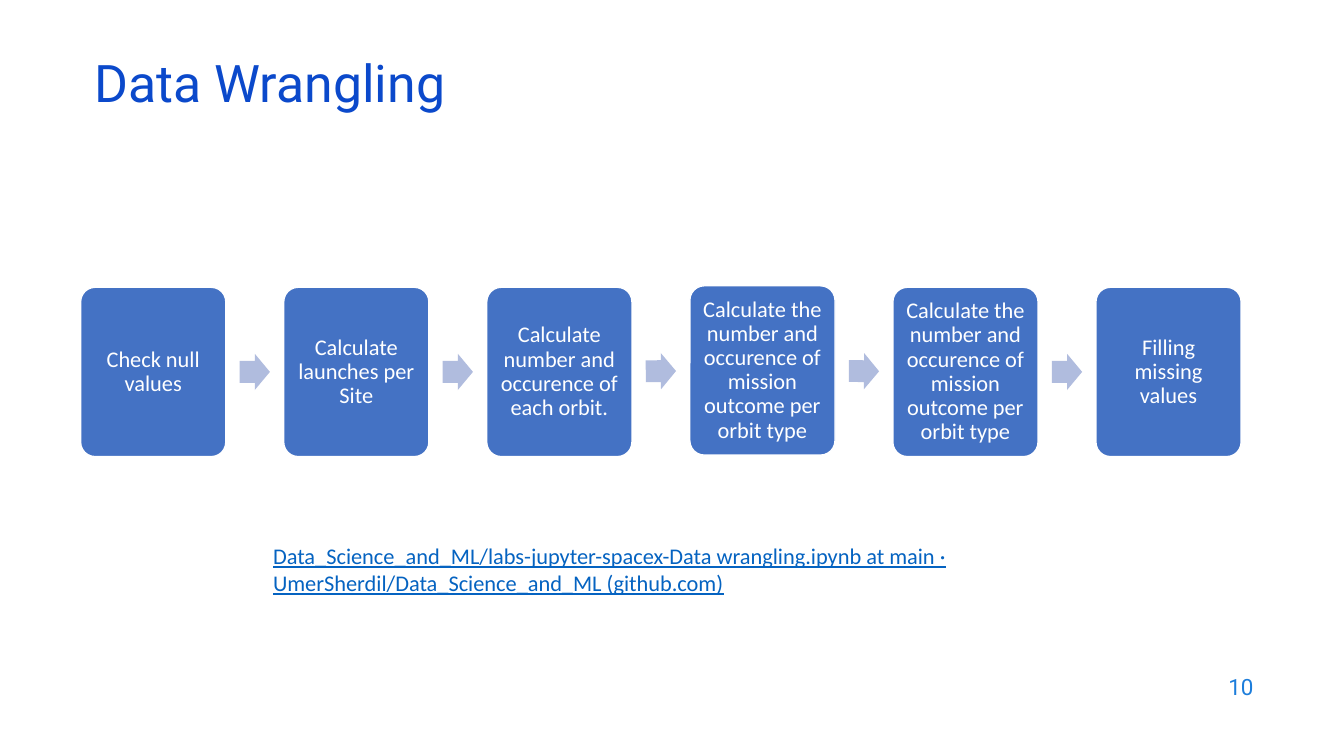
from math import atan2, degrees
from pptx import Presentation
from pptx.dml.color import RGBColor
from pptx.enum.shapes import MSO_SHAPE
from pptx.enum.text import MSO_ANCHOR, PP_ALIGN
from pptx.util import Inches, Pt

# Each step: wording and how far its card sits above the row
STEPS = [
    ("Check null values", 0),
    ("Calculate launches per Site", 0),
    ("Calculate number and occurence of each orbit.", 0),
    ("Calculate the number and occurence of mission outcome per orbit type", 0.015),
    ("Calculate the number and occurence of mission outcome per orbit type", 0),
    ("Filling missing values", 0),
]
LINK = ("Data_Science_and_ML/labs-jupyter-spacex-Data wrangling.ipynb at main · "
        "UmerSherdil/Data_Science_and_ML (github.com)")


def rgb(value):
    return RGBColor.from_string(value)


def write(sp, text, size, font, color, align=PP_ALIGN.LEFT,
          anchor=MSO_ANCHOR.MIDDLE, spacing=1.0):
    tf = sp.text_frame
    tf.word_wrap = True
    tf.vertical_anchor = anchor
    p = tf.paragraphs[0]
    p.text = text
    p.alignment = align
    p.line_spacing = spacing
    p.font.size = Pt(size)
    p.font.name = font
    p.font.color.rgb = rgb(color)
    return p


def add_text(slide, box, text, size, font, color, **layout):
    sp = slide.shapes.add_textbox(*map(Inches, box))
    return write(sp, text, size, font, color, **layout)


def add_block(slide, kind, box, fill):
    sp = slide.shapes.add_shape(kind, *map(Inches, box))
    sp.shadow.inherit = False
    sp.fill.solid()
    sp.fill.fore_color.rgb = rgb(fill)
    return sp


def add_card(slide, box, text):
    sp = add_block(slide, MSO_SHAPE.ROUNDED_RECTANGLE, box, "4472C4")
    sp.adjustments[0] = 0.1
    sp.line.color.rgb = rgb("FFFFFF")
    sp.line.width = Pt(1)
    tf = sp.text_frame
    tf.margin_left = tf.margin_right = tf.margin_top = tf.margin_bottom = Inches(0.07)
    write(sp, text, 16, "Calibri", "FFFFFF", align=PP_ALIGN.CENTER, spacing=0.9)


def add_arrow(slide, box, angle):
    sp = add_block(slide, MSO_SHAPE.RIGHT_ARROW, box, "B0BCDE")
    sp.adjustments[0], sp.adjustments[1] = 0.6, 0.5
    sp.line.fill.background()
    sp.rotation = angle % 360


def add_process(slide, box, steps):
    """Row of equal cards with an arrow in each gap."""
    left, top, width, height = box
    card_w, arrow_w, arrow_h = 1.44, 0.3, 0.36
    pitch = (width - card_w) / (len(steps) - 1)
    for i, (text, lift) in enumerate(steps):
        x = left + i * pitch
        add_card(slide, (x, top - lift, card_w, height), text)
        if i + 1 < len(steps):
            next_lift = steps[i + 1][1]
            arrow_x = x + (card_w + pitch - arrow_w) / 2
            arrow_y = top + (height - arrow_h - lift - next_lift) / 2
            angle = degrees(atan2(lift - next_lift, pitch))
            add_arrow(slide, (arrow_x, arrow_y, arrow_w, arrow_h), angle)


def build_slide(prs):
    slide = prs.slides.add_slide(prs.slide_layouts[6])
    # Title
    add_text(slide, (0.84, 0.59, 11.5, 0.6), "Data Wrangling", 37, "Roboto",
             "0B49CB", spacing=0.7)
    # Process
    add_process(slide, (0.8, 2.85, 11.51, 1.68), STEPS)
    # Notebook reference
    p = add_text(slide, (2.61, 5.33, 6.92, 0.69), LINK, 16, "Calibri", "0563C1",
                 anchor=MSO_ANCHOR.TOP)
    p.font.underline = True
    # Slide number
    add_text(slide, (9.53, 6.59, 3, 0.44), "10", 16, "Roboto", "1C7DDB",
             align=PP_ALIGN.RIGHT)


def main():
    prs = Presentation()
    prs.slide_width, prs.slide_height = Inches(13.33), Inches(7.5)
    build_slide(prs)
    prs.save("out.pptx")


if __name__ == "__main__":
    main()
